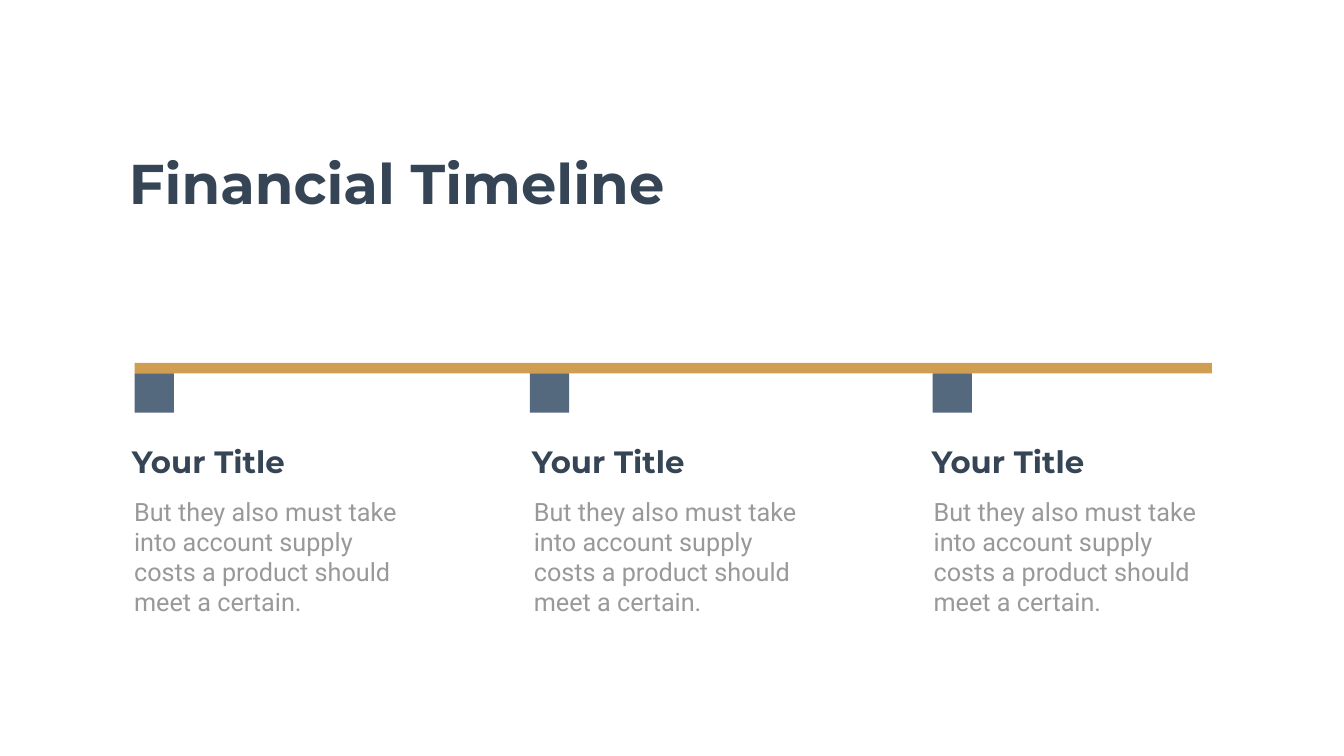
from dataclasses import dataclass

from pptx import Presentation
from pptx.dml.color import RGBColor
from pptx.enum import shapes, text
from pptx.util import Emu, Pt

PX = 9144  # EMU per px, 100 px to the inch

NAVY = RGBColor(0x36, 0x45, 0x56)
SLATE = RGBColor(0x54, 0x68, 0x7E)
GOLD = RGBColor(0xCF, 0x9E, 0x50)
GRAY = RGBColor(0x99, 0x99, 0x99)
WHITE = RGBColor(0xFF, 0xFF, 0xFF)

BAR_LEFT, BAR_TOP, BAR_THICK = 267, 720, 21
MARK = 78
FIRST, STEP = 242, 793
BODY = ("But they also must take into account supply costs "
        "a product should meet a certain.")


@dataclass(frozen=True)
class Box:
    left: int
    top: int
    width: int
    height: int

    def emu(self) -> list[Emu]:
        return [Emu(n * PX) for n in
                (self.left, self.top, self.width, self.height)]


@dataclass(frozen=True)
class Style:
    font: str
    size: int
    color: RGBColor
    bold: bool = False
    pitch: int = 0  # line spacing in points, 0 for single
    pad_x: int = 10
    pad_y: int = 5


@dataclass(frozen=True)
class Stage:
    mark: int  # left edge of the marker
    title: str
    body: str


HEAD = Style("Montserrat", 80, NAVY, bold=True)
TITLE = Style("Montserrat", 44, NAVY, bold=True)
NOTE = Style("Roboto", 36, GRAY, pitch=43, pad_x=24, pad_y=12)

STAGES = [Stage(mark, "Your Title", BODY) for mark in (267, 1051, 1850)]


def add_rect(slide, box: Box, color: RGBColor) -> None:
    rect = slide.shapes.add_shape(shapes.MSO_SHAPE.RECTANGLE, *box.emu())
    rect.shadow.inherit = False
    rect.fill.solid()
    rect.fill.fore_color.rgb = color
    rect.line.fill.background()


def add_text(parent, box: Box, words: str, style: Style) -> None:
    """Add one styled run in a text box to a slide or a group."""
    frame = parent.shapes.add_textbox(*box.emu()).text_frame
    frame.word_wrap = True
    frame.auto_size = text.MSO_AUTO_SIZE.SHAPE_TO_FIT_TEXT
    frame.margin_left = frame.margin_right = Emu(style.pad_x * PX)
    frame.margin_top = frame.margin_bottom = Emu(style.pad_y * PX)
    para = frame.paragraphs[0]
    if style.pitch:
        para.line_spacing = Pt(style.pitch)
    run = para.add_run()
    run.text = words
    run.font.name = style.font
    run.font.size = Pt(style.size)
    run.font.bold = style.bold
    run.font.color.rgb = style.color


def add_stage(slide, stage: Stage, left: int) -> None:
    """Add a marker under the bar and its grouped title and note."""
    add_rect(slide, Box(stage.mark, BAR_TOP + BAR_THICK, MARK, MARK), SLATE)
    group = slide.shapes.add_group_shape()
    add_text(group, Box(left, 972, 576, 265), stage.body, NOTE)
    add_text(group, Box(left + 10, 874, 477, 84), stage.title, TITLE)


def main() -> None:
    deck = Presentation()
    deck.slide_width, deck.slide_height = Emu(2666 * PX), Emu(1500 * PX)
    slide = deck.slides.add_slide(deck.slide_layouts[6])
    slide.background.fill.solid()
    slide.background.fill.fore_color.rgb = WHITE

    add_text(slide, Box(246, 290, 1293, 145), "Financial Timeline", HEAD)
    add_rect(slide, Box(BAR_LEFT, BAR_TOP, 2137, BAR_THICK), GOLD)
    for i, stage in enumerate(STAGES):
        add_stage(slide, stage, FIRST + i * STEP)

    deck.save("out.pptx")


if __name__ == "__main__":
    main()
